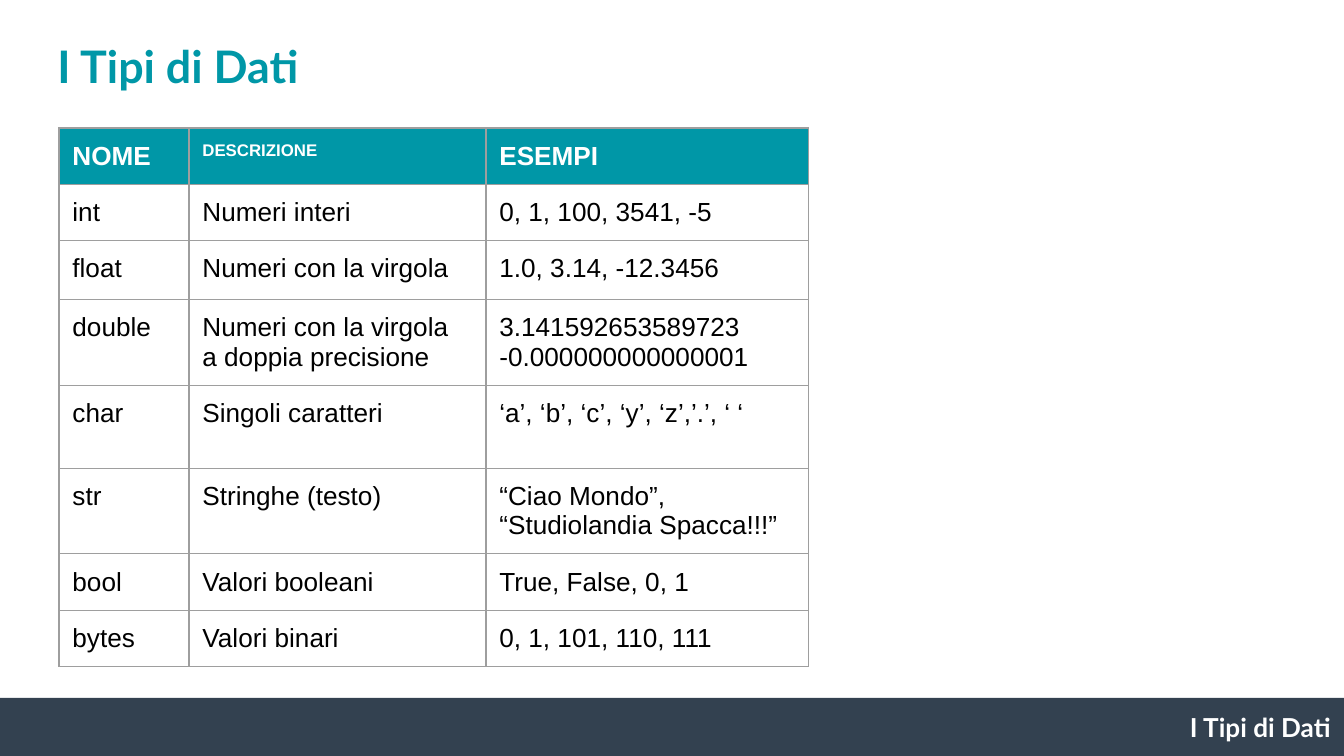
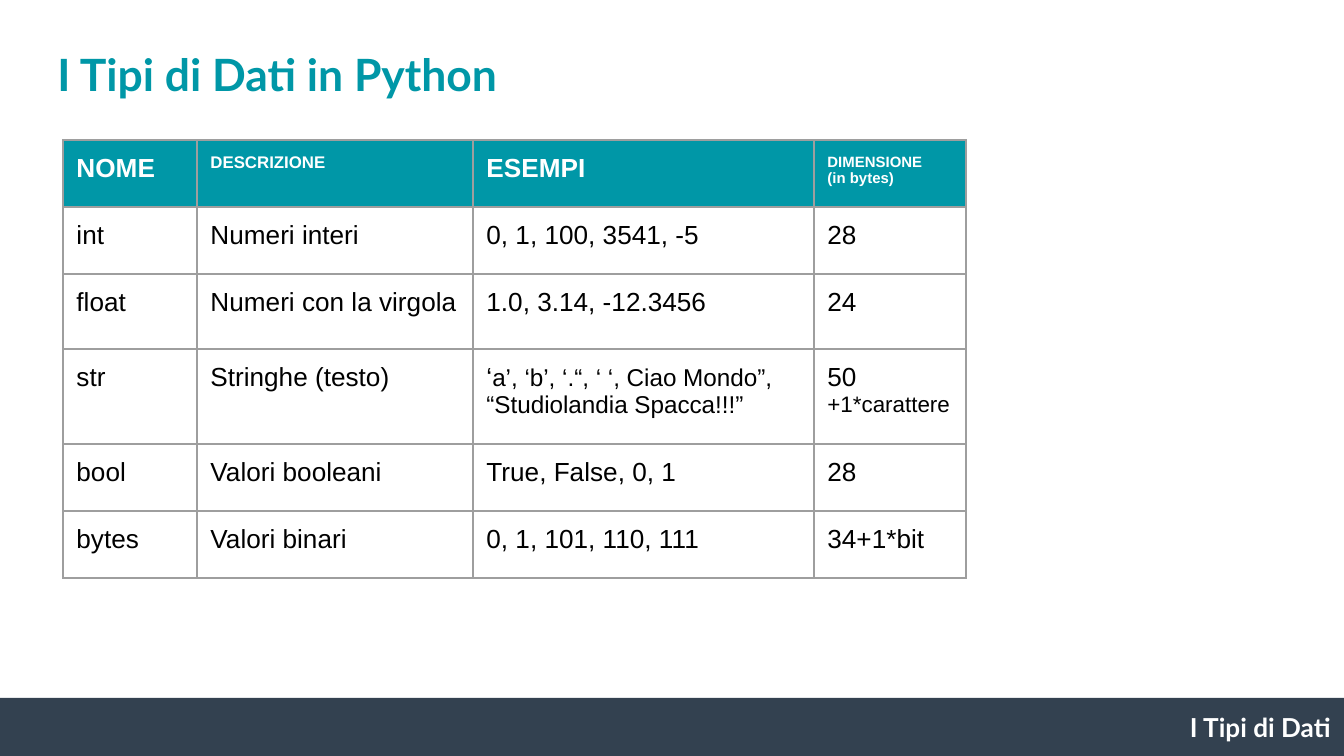
import pptx
import pptx.util
import pptx.dml.color
import pptx.enum.shapes
import pptx.enum.text
import pptx.oxml

SCALE = 914400 / 134.4  # EMU in one px
COLORS = {"teal": "0097A7", "navy": "334150", "white": "FFFFFF",
          "black": "000000", "border": "9E9E9E"}
INSET = pptx.util.Inches(0.1)
ALIGN = pptx.enum.text.PP_ALIGN
ANCHOR = pptx.enum.text.MSO_ANCHOR
BORDER_XML = ('<a:{side} xmlns:a="http://schemas.openxmlformats.org/drawingml/2006/main" w="9525">'
              '<a:solidFill><a:srgbClr val="{color}"/></a:solidFill></a:{side}>')


def px(*lengths):
    return [pptx.util.Emu(round(length * SCALE)) for length in lengths]


def color(name):
    return pptx.dml.color.RGBColor.from_string(COLORS[name])


def write(frame, text, size=14, font="Arial", fill="black", bold=False,
          align=ALIGN.LEFT, spacing=None):
    """Text is a string, or a list of paragraphs made of (words, size) spans."""
    if isinstance(text, str):
        text = [[(line, size)] for line in text.split("\n")]
    for index, spans in enumerate(text):
        para = frame.paragraphs[0] if index == 0 else frame.add_paragraph()
        para.alignment = align
        if spacing:
            para.line_spacing = spacing
        for words, points in spans:
            span = para.add_run()
            span.text = words
            span.font.size = pptx.util.Pt(points)
            span.font.name = font
            span.font.bold = bold
            span.font.color.rgb = color(fill)


def set_insets(frame, anchor):
    frame.word_wrap = True
    frame.vertical_anchor = anchor
    frame.margin_left = frame.margin_right = INSET
    frame.margin_top = frame.margin_bottom = INSET


def add_title(page, text, box, size, spacing):
    title = page.shapes.title
    title.left, title.top, title.width, title.height = px(*box)
    frame = title.text_frame
    frame.auto_size = pptx.enum.text.MSO_AUTO_SIZE.NONE
    set_insets(frame, ANCHOR.BOTTOM)
    write(frame, text, size=size, font="Lato", fill="teal", bold=True, spacing=spacing)


def add_footer(page, text, box):
    left, top, width, height = box
    # Band
    band = page.shapes.add_shape(pptx.enum.shapes.MSO_SHAPE.RECTANGLE, *px(*box))
    band.shadow.inherit = False
    band.fill.solid()
    band.fill.fore_color.rgb = color("navy")
    band.line.fill.background()
    # Label, flush with the right end of the band
    label_width = 359
    label = page.shapes.add_textbox(
        *px(left + width - label_width, top, label_width, height + 1))
    frame = label.text_frame
    set_insets(frame, ANCHOR.TOP)
    frame.auto_size = pptx.enum.text.MSO_AUTO_SIZE.SHAPE_TO_FIT_TEXT
    write(frame, text, font="Lato", fill="white", bold=True, align=ALIGN.RIGHT)


def format_cell(cell, text, header):
    cell.margin_left = cell.margin_right = INSET
    cell.margin_top = cell.margin_bottom = INSET
    properties = cell._tc.get_or_add_tcPr()
    for side in ("lnL", "lnR", "lnT", "lnB"):
        properties.append(pptx.oxml.parse_xml(
            BORDER_XML.format(side=side, color=COLORS["border"])))
    if header:
        cell.fill.solid()
        cell.fill.fore_color.rgb = color("teal")
    else:
        cell.fill.background()
    write(cell.text_frame, text, fill="white" if header else "black", bold=header)


def add_type_table(page, left, top, columns, heights, rows):
    frame = page.shapes.add_table(len(rows), len(columns),
                                  *px(left, top, sum(columns), sum(heights)))
    table = frame.table
    table.horz_banding = False
    for column, width in zip(table.columns, px(*columns)):
        column.width = width
    for row, height in zip(table.rows, px(*heights)):
        row.height = height
    for row_index, texts in enumerate(rows):
        for column_index, text in enumerate(texts):
            format_cell(table.cell(row_index, column_index), text, row_index == 0)


def add_type_slide(deck, title, table):
    page = deck.slides.add_slide(deck.slide_layouts[5])
    add_title(page, **title)
    add_type_table(page, **table)
    add_footer(page, "I Tipi di Dati", (-3, 698, 1347, 58))


# Rows that both tables share
HEADER = ["NOME", [[("DESCRIZIONE", 9)]], "ESEMPI"]
INT = ["int", "Numeri interi", "0, 1, 100, 3541, -5"]
FLOAT = ["float", "Numeri con la virgola", "1.0, 3.14, -12.3456"]
STR = ["str", "Stringhe (testo)"]
BOOL = ["bool", "Valori booleani", "True, False, 0, 1"]
BYTES = ["bytes", "Valori binari", "0, 1, 101, 110, 111"]

GENERAL_ROWS = [
    HEADER, INT, FLOAT,
    ["double", "Numeri con la virgola\na doppia precisione",
     "3.141592653589723\n-0.000000000000001"],
    ["char", "Singoli caratteri", "‘a’, ‘b’, ‘c’, ‘y’, ‘z’,’.’, ‘ ‘"],
    STR + ["“Ciao Mondo”, “Studiolandia Spacca!!!”"],
    BOOL, BYTES,
]
PYTHON_ROWS = [
    HEADER + [[[("DIMENSIONE", 8)], [("(in bytes)", 8)]]],
    INT + ["28"],
    FLOAT + ["24"],
    STR + [[[("‘", 14), ("a’, ‘b’, ‘.“, ‘ ‘, Ciao Mondo”, “Studiolandia Spacca!!!”", 13)]],
           [[("50", 14)], [("+1*carattere", 12)]]],
    BOOL + ["28"],
    BYTES + ["34+1*bit"],
]


def main():
    deck = pptx.Presentation()
    deck.slide_width, deck.slide_height = px(1344, 756)
    add_type_slide(
        deck,
        dict(text="I Tipi di Dati", box=(44, 27, 345, 79), size=24, spacing=0.8),
        dict(left=59, top=128, columns=[130, 297, 323],
             heights=[56, 56, 59, 77, 83, 82, 56, 56], rows=GENERAL_ROWS))
    add_type_slide(
        deck,
        dict(text="I Tipi di Dati in Python", box=(44, 36, 470, 79), size=23.8, spacing=0.9),
        dict(left=63, top=140, columns=[134, 276, 341, 152],
             heights=[67, 67, 75, 95, 67, 67], rows=PYTHON_ROWS))
    deck.save("out.pptx")


if __name__ == "__main__":
    main()
